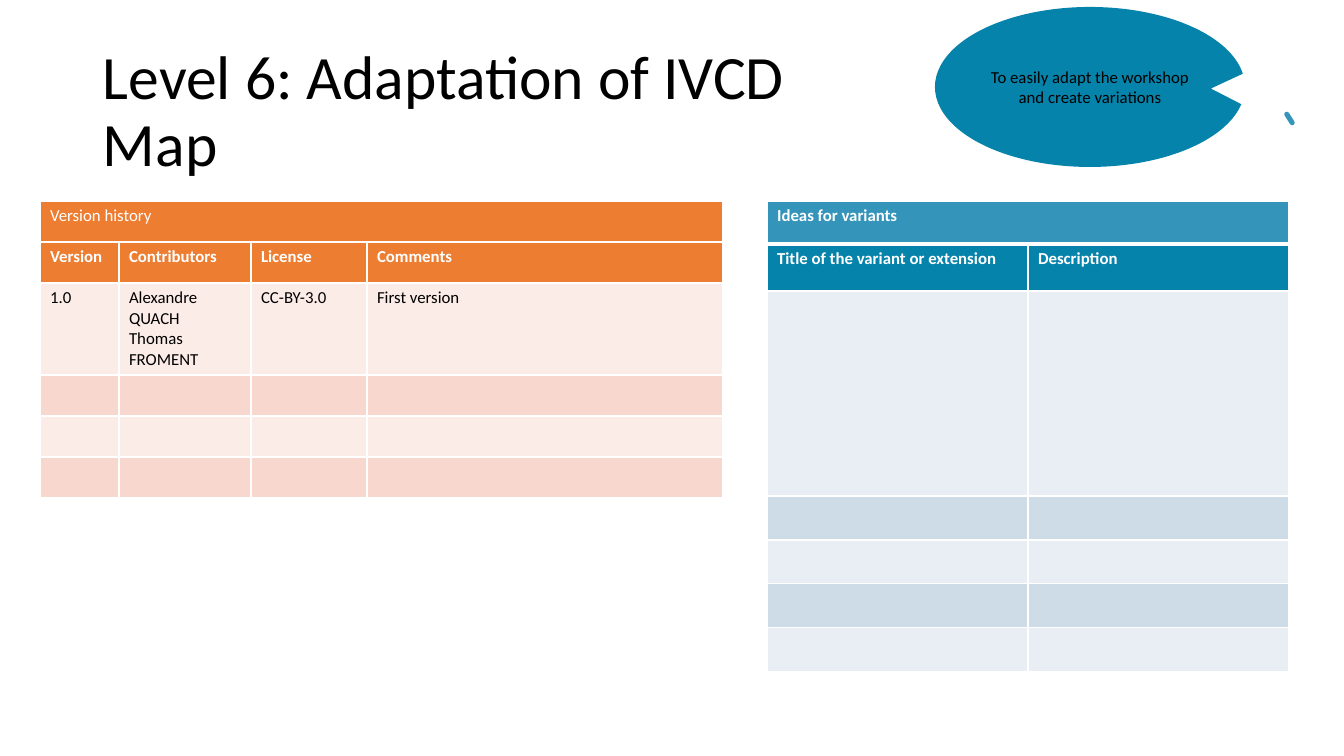
from lxml.etree import SubElement
from pptx import Presentation
from pptx.dml.color import RGBColor
from pptx.enum.shapes import MSO_SHAPE
from pptx.enum.text import MSO_ANCHOR, PP_ALIGN
from pptx.oxml.ns import qn
from pptx.util import Emu, Pt

EMU_PER_PX = 914400 / 100.8
FONT = "Calibri"
COLORS = {
    "black": "000000",
    "white": "FFFFFF",
    "teal": "0683AA",
    "blue": "3494BA",
    "blue_light": "E8EEF3",
    "blue_mid": "CEDCE7",
    "orange": "ED7D31",
    "orange_light": "FCECE8",
    "orange_mid": "F8D7CE",
}


def px(length):
    return Emu(round(length * EMU_PER_PX))


def color(name):
    return RGBColor.from_string(COLORS[name])


def write(frame, text, size=12, ink="black", bold=False,
          align=PP_ALIGN.LEFT, line_spacing=None):
    frame.word_wrap = True
    for index, line in enumerate(text.split("\n")):
        paragraph = frame.paragraphs[0] if index == 0 else frame.add_paragraph()
        paragraph.alignment = align
        paragraph.line_spacing = line_spacing
        run = paragraph.add_run()
        run.text = line
        run.font.name = FONT
        run.font.size = Pt(size)
        run.font.bold = bold
        run.font.color.rgb = color(ink)


def add_title(slide, text, left, top, width, height):
    title = slide.shapes.add_textbox(px(left), px(top), px(width), px(height))
    title.text_frame.vertical_anchor = MSO_ANCHOR.MIDDLE
    write(title.text_frame, text, size=44, line_spacing=0.9)


def add_filled_shape(slide, kind, left, top, width, height, fill, adjustments):
    shape = slide.shapes.add_shape(kind, px(left), px(top), px(width), px(height))
    shape.shadow.inherit = False
    shape.fill.solid()
    shape.fill.fore_color.rgb = color(fill)
    shape.line.fill.background()
    for index, value in enumerate(adjustments):
        shape.adjustments[index] = value
    return shape


def set_borders(cell, **weights):
    properties = cell._tc.get_or_add_tcPr()
    for side in ("L", "R", "T", "B"):
        border = SubElement(properties, qn(f"a:ln{side}"), w=str(Pt(weights.get(side, 1))))
        fill = SubElement(border, qn("a:solidFill"))
        SubElement(fill, qn("a:srgbClr"), val=COLORS["white"])


def add_grid(slide, left, top, widths, heights, texts, header_fills, band_fills,
             bold_heading, heading_rule):
    grid = slide.shapes.add_table(len(heights), len(widths), px(left), px(top),
                                  px(sum(widths)), px(sum(heights))).table
    grid.first_row = False
    grid.horz_banding = False
    for column, width in zip(grid.columns, widths):
        column.width = px(width)
    for row, height in zip(grid.rows, heights):
        row.height = px(height)
    grid.cell(0, 0).merge(grid.cell(0, len(widths) - 1))

    fills = header_fills + [band_fills[i % 2] for i in range(len(heights) - 2)]
    rules = {0: {"B": heading_rule}, 1: {"T": heading_rule}}
    for r, fill in enumerate(fills):
        for c in range(len(widths)):
            cell = grid.cell(r, c)
            set_borders(cell, **rules.get(r, {}))
            cell.fill.solid()
            cell.fill.fore_color.rgb = color(fill)

    for r, row_texts in enumerate(texts):
        for c, text in enumerate(row_texts):
            write(grid.cell(r, c).text_frame, text,
                  ink="white" if r < 2 else "black",
                  bold=r == 1 or (r == 0 and bold_heading))


def main():
    presentation = Presentation()
    presentation.slide_width = px(1344)
    presentation.slide_height = px(756)
    slide = presentation.slides.add_slide(presentation.slide_layouts[6])

    add_title(slide, "Level 6: Adaptation of IVCD Map", 93, 40, 791, 146)

    purpose = add_filled_shape(slide, MSO_SHAPE.OVAL_CALLOUT, 935, 7, 310, 160,
                               "teal", [0.39, 0.01])
    purpose.text_frame.vertical_anchor = MSO_ANCHOR.MIDDLE
    write(purpose.text_frame, "To easily adapt the workshop and create variations",
          align=PP_ALIGN.CENTER)

    accent = add_filled_shape(slide, MSO_SHAPE.ROUNDED_RECTANGLE, 1282, 116, 15, 5,
                              "blue", [0.5])
    accent.rotation = 57.7

    add_grid(slide, 767, 201, [261, 261], [43, 47, 205] + [44] * 4,
             [["Ideas for variants"],
              ["Title of the variant or extension", "Description"]],
             ["blue", "teal"], ["blue_light", "blue_mid"],
             bold_heading=True, heading_rule=3)

    add_grid(slide, 40, 201, [79, 132, 116, 356], [41, 41, 92] + [41] * 3,
             [["Version history"],
              ["Version", "Contributors", "License", "Comments"],
              ["1.0", "Alexandre QUACH\nThomas FROMENT", "CC-BY-3.0", "First version"]],
             ["orange", "orange"], ["orange_light", "orange_mid"],
             bold_heading=False, heading_rule=1)

    presentation.save("out.pptx")


if __name__ == "__main__":
    main()
